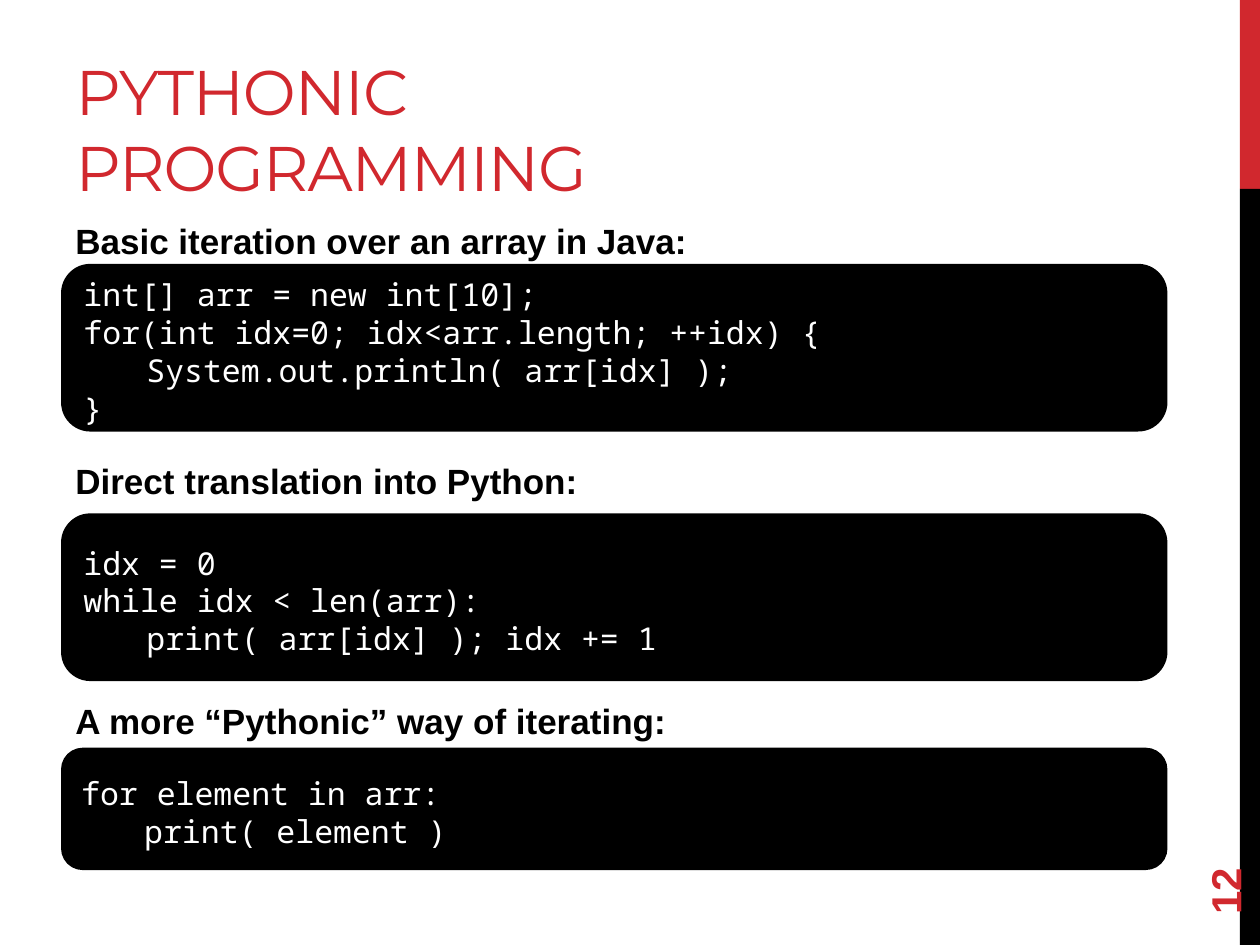
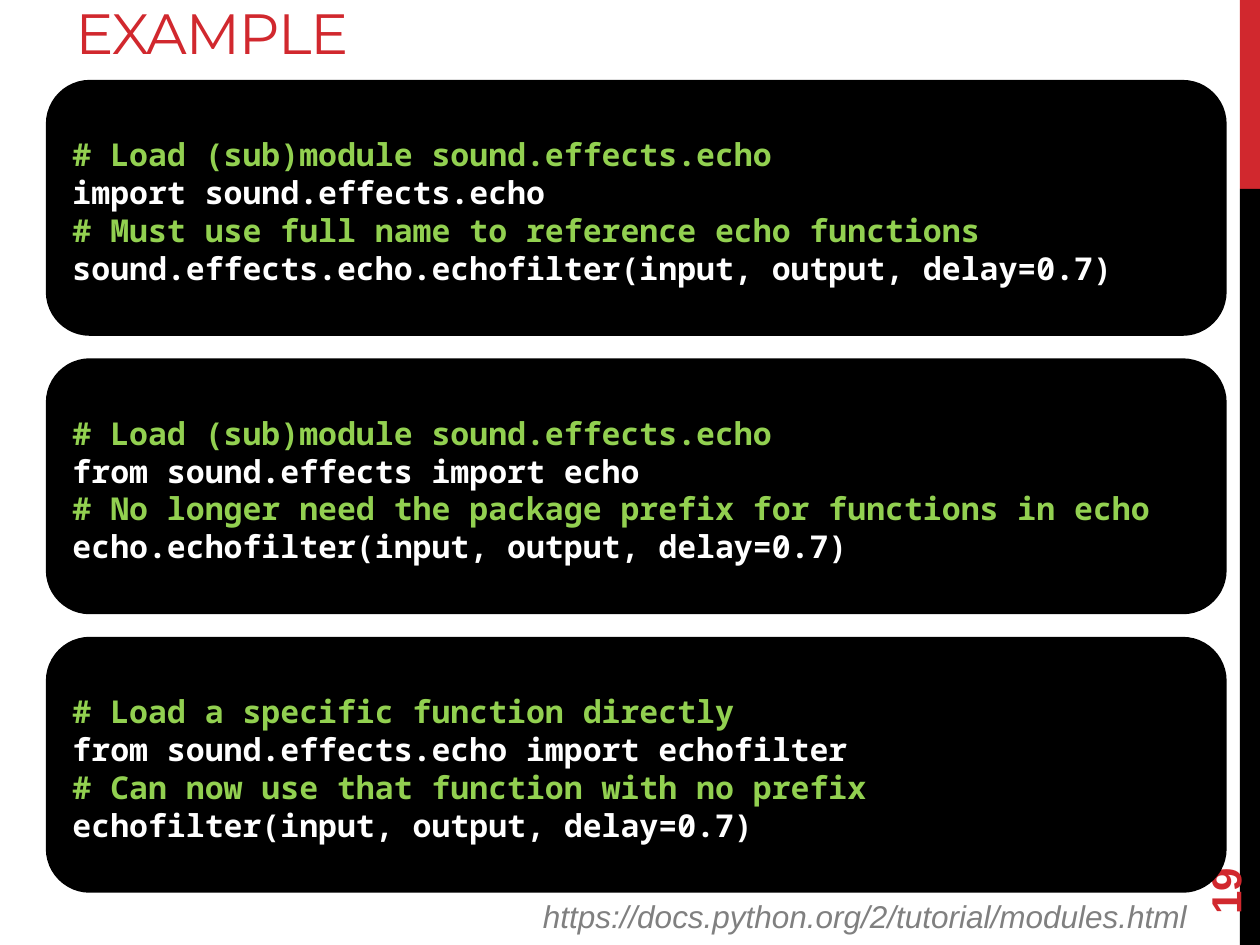
from dataclasses import dataclass
from typing import NamedTuple, Optional, Sequence

from lxml.etree import SubElement
from pptx import Presentation
from pptx.dml.color import RGBColor
from pptx.enum.shapes import MSO_SHAPE
from pptx.enum.text import MSO_ANCHOR, MSO_AUTO_SIZE, PP_ALIGN
from pptx.oxml.ns import qn
from pptx.presentation import Presentation as Deck
from pptx.shapes.autoshape import Shape
from pptx.slide import Slide
from pptx.text.text import TextFrame
from pptx.util import Inches, Pt

SLIDE_WIDTH, SLIDE_HEIGHT = Inches(10), Inches(7.5)
COLUMN, ROW = SLIDE_WIDTH / 100, SLIDE_HEIGHT / 75
TITLE_ONLY = 5


@dataclass(frozen=True)
class Theme:
    red: str = "D1282E"
    black: str = "000000"
    white: str = "FFFFFF"
    comment_green: str = "92D050"
    source_gray: str = "808080"
    title_font: str = "Montserrat"
    body_font: str = "Arial"
    code_font: str = "Noto Sans Mono"
    title_size: float = 36
    short_title_size: float = 32.4
    number_size: float = 24
    heading_size: float = 20
    code_size: float = 18
    source_size: float = 18
    code_leading: float = 21.6
    title_tracking: float = -0.6
    panel_line: float = 2.25


THEME = Theme()


class Area(NamedTuple):
    column: float
    row: float
    columns: float
    rows: float

    def emu(self) -> tuple[int, int, int, int]:
        return (
            round(self.column * COLUMN),
            round(self.row * ROW),
            round(self.columns * COLUMN),
            round(self.rows * ROW),
        )


class Band(NamedTuple):
    area: Area
    color: str


class CodePanel(NamedTuple):
    area: Area
    lines: Sequence[str]
    bold: bool = False


BANDS = (
    Band(Area(98.4, 0, 1.6, 15), THEME.red),
    Band(Area(98.4, 15, 1.6, 60), THEME.black),
)
NUMBER_AREA = Area(90, 64.4, 14.4, 4)

ITERATION_HEADINGS = (
    "Basic iteration over an array in Java:",
    "Direct translation into Python:",
    "A more “Pythonic” way of iterating:",
)
ITERATION_PANELS = (
    CodePanel(
        Area(5, 21.1, 87.5, 13),
        (
            "int[] arr = new int[10];",
            "for(int idx=0; idx<arr.length; ++idx) {",
            "\tSystem.out.println( arr[idx] );",
            "}",
        ),
    ),
    CodePanel(
        Area(5, 40.9, 87.5, 13),
        ("idx = 0", "while idx < len(arr):", "\tprint( arr[idx] ); idx += 1"),
    ),
    CodePanel(
        Area(5, 59.5, 87.5, 9.4),
        ("for element in arr:", "\tprint( element )"),
    ),
)
IMPORT_EXAMPLES = (
    (
        "# Load (sub)module sound.effects.echo",
        "import sound.effects.echo",
        "# Must use full name to reference echo functions",
        "sound.effects.echo.echofilter(input, output, delay=0.7)",
    ),
    (
        "# Load (sub)module sound.effects.echo",
        "from sound.effects import echo",
        "# No longer need the package prefix for functions in echo",
        "echo.echofilter(input, output, delay=0.7)",
    ),
    (
        "# Load a specific function directly",
        "from sound.effects.echo import echofilter",
        "# Can now use that function with no prefix",
        "echofilter(input, output, delay=0.7)",
    ),
)


def write(
    frame: TextFrame,
    lines: Sequence[str],
    *,
    font: str = THEME.body_font,
    size: float,
    color: str,
    comment_color: Optional[str] = None,
    bold: bool = False,
    italic: bool = False,
    align: PP_ALIGN = PP_ALIGN.LEFT,
    anchor: MSO_ANCHOR = MSO_ANCHOR.TOP,
    leading: Optional[float] = None,
    gap: float = 0,
    tab: Optional[float] = None,
    tracking: Optional[float] = None,
) -> None:
    frame.word_wrap = True
    frame.auto_size = MSO_AUTO_SIZE.NONE
    frame.vertical_anchor = anchor
    for index, line in enumerate(lines):
        paragraph = frame.add_paragraph() if index else frame.paragraphs[0]
        paragraph.alignment = align
        if tab and line.startswith("\t"):
            stops = SubElement(paragraph._p.get_or_add_pPr(), qn("a:tabLst"))
            SubElement(stops, qn("a:tab"), pos=str(round(tab * COLUMN)), algn="l")
        if leading:
            paragraph.line_spacing = Pt(leading)
        if index and gap:
            paragraph.space_before = Pt(gap)
        run = paragraph.add_run()
        run.text = line
        run.font.name = font
        run.font.size = Pt(size)
        run.font.bold = bold
        run.font.italic = italic
        is_comment = comment_color and line.startswith("#")
        run.font.color.rgb = RGBColor.from_string(comment_color if is_comment else color)
        if tracking:
            run._r.get_or_add_rPr().set("spc", str(round(tracking * 100)))


def add_block(
    slide: Slide, kind: MSO_SHAPE, area: Area, color: str, line_width: float = 0
) -> Shape:
    block = slide.shapes.add_shape(kind, *area.emu())
    block.shadow.inherit = False
    block.fill.solid()
    block.fill.fore_color.rgb = RGBColor.from_string(color)
    if line_width:
        block.line.color.rgb = RGBColor.from_string(color)
        block.line.width = Pt(line_width)
    else:
        block.line.fill.background()
    return block


def add_text_area(slide: Slide, area: Area) -> Shape:
    return slide.shapes.add_textbox(*area.emu())


def add_code_panel(slide: Slide, panel: CodePanel) -> None:
    block = add_block(
        slide, MSO_SHAPE.ROUNDED_RECTANGLE, panel.area, THEME.black, THEME.panel_line
    )
    block.text_frame.margin_top = round(ROW)
    block.text_frame.margin_bottom = round(ROW / 2)
    write(
        block.text_frame,
        panel.lines,
        font=THEME.code_font,
        size=THEME.code_size,
        color=THEME.white,
        comment_color=THEME.comment_green,
        bold=panel.bold,
        anchor=MSO_ANCHOR.MIDDLE,
        leading=THEME.code_leading,
        tab=5,
    )


def start_slide(
    deck: Deck, title: str, title_area: Area, title_size: float, number: int
) -> Slide:
    slide = deck.slides.add_slide(deck.slide_layouts[TITLE_ONLY])
    for band in BANDS:
        add_block(slide, MSO_SHAPE.RECTANGLE, band.area, band.color)
    heading = slide.shapes.title
    heading.left, heading.top, heading.width, heading.height = title_area.emu()
    write(
        heading.text_frame,
        (title,),
        font=THEME.title_font,
        size=title_size,
        color=THEME.red,
        anchor=MSO_ANCHOR.BOTTOM,
        tracking=THEME.title_tracking,
    )
    page_number = add_text_area(slide, NUMBER_AREA)
    page_number.rotation = 270
    write(
        page_number.text_frame,
        (str(number),),
        size=THEME.number_size,
        color=THEME.red,
        bold=True,
        anchor=MSO_ANCHOR.MIDDLE,
    )
    return slide


def add_iteration_slide(deck: Deck) -> None:
    slide = start_slide(
        deck, "PYTHONIC PROGRAMMING", Area(5, 1.7, 63.3, 15), THEME.title_size, 12
    )
    headings = add_text_area(slide, Area(5, 16.9, 83.3, 47.8))
    write(
        headings.text_frame,
        ITERATION_HEADINGS,
        size=THEME.heading_size,
        color=THEME.black,
        bold=True,
        gap=113.3,
    )
    for panel in ITERATION_PANELS:
        add_code_panel(slide, panel)


def add_import_slide(deck: Deck) -> None:
    slide = start_slide(
        deck, "EXAMPLE", Area(5, -1.2, 63.3, 6.9), THEME.short_title_size, 19
    )
    first_row, panel_rows, gap_rows = 6.5, 20, 2.1
    for index, lines in enumerate(IMPORT_EXAMPLES):
        row = first_row + index * (panel_rows + gap_rows)
        add_code_panel(slide, CodePanel(Area(3.8, row, 93.4, panel_rows), lines, bold=True))
    source = add_text_area(slide, Area(0, 70.7, 95.2, 4))
    write(
        source.text_frame,
        ("https://docs.python.org/2/tutorial/modules.html",),
        size=THEME.source_size,
        color=THEME.source_gray,
        italic=True,
        align=PP_ALIGN.RIGHT,
    )


def main() -> None:
    deck = Presentation()
    deck.slide_width, deck.slide_height = SLIDE_WIDTH, SLIDE_HEIGHT
    add_iteration_slide(deck)
    add_import_slide(deck)
    deck.save("out.pptx")


if __name__ == "__main__":
    main()
